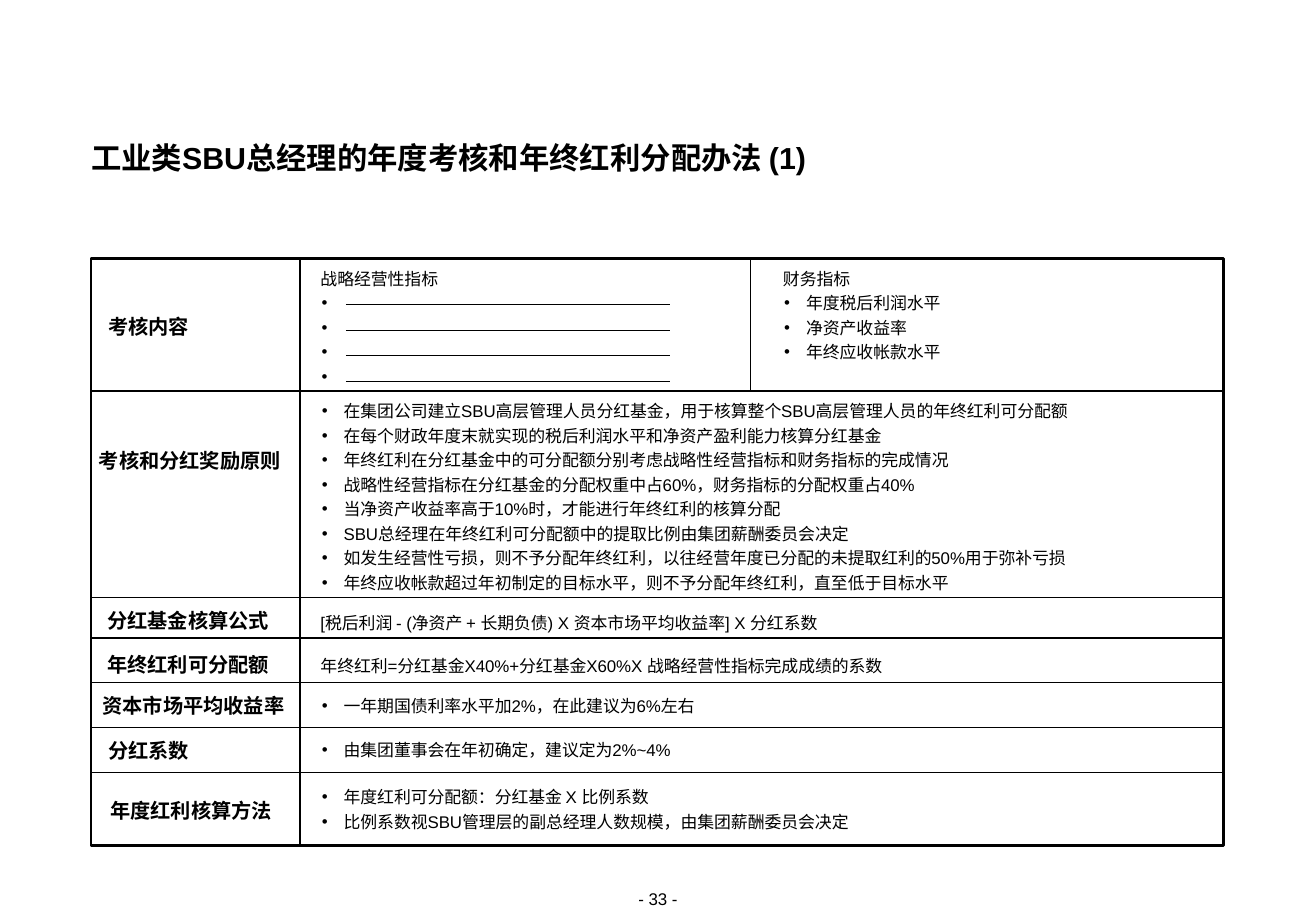
from lxml import etree
from pptx import Presentation
from pptx.dml.color import RGBColor
from pptx.enum import shapes, text
from pptx.oxml import ns
from pptx.util import Inches, Pt

BLACK = RGBColor(0, 0, 0)
FONT = "Arial"

# Grid of the scheme, in inches
LEFT, RIGHT, TOP, BOTTOM = 0.75, 10.08, 2.13, 6.96
LABEL_EDGE, INDICATOR_EDGE = 2.47, 6.18
ROW_EDGES = [3.22, 4.92, 5.25, 5.62, 5.99, 6.36]
LABEL_LEFT, CONTENT_LEFT = 0.78, 2.64

# Row labels: wording, top, width
LABELS = [
    ("考核内容", 2.59, 0.89),
    ("考核和分红奖励原则", 3.69, 1.57),
    ("分红基金核算公式", 5.01, 1.54),
    ("年终红利可分配额", 5.37, 1.54),
    ("资本市场平均收益率", 5.71, 1.63),
    ("分红系数", 6.08, 0.89),
    ("年度红利核算方法", 6.57, 1.59),
]

BLANK_ENTRIES = 4
FINANCIAL_INDICATORS = ["年度税后利润水平", "净资产收益率", "年终应收帐款水平"]
PRINCIPLES = [
    "在集团公司建立SBU高层管理人员分红基金，用于核算整个SBU高层管理人员的年终红利可分配额",
    "在每个财政年度末就实现的税后利润水平和净资产盈利能力核算分红基金",
    "年终红利在分红基金中的可分配额分别考虑战略性经营指标和财务指标的完成情况",
    "战略性经营指标在分红基金的分配权重中占60%，财务指标的分配权重占40%",
    "当净资产收益率高于10%时，才能进行年终红利的核算分配",
    "SBU总经理在年终红利可分配额中的提取比例由集团薪酬委员会决定",
    "如发生经营性亏损，则不予分配年终红利，以往经营年度已分配的未提取红利的50%用于弥补亏损",
    "年终应收帐款超过年初制定的目标水平，则不予分配年终红利，直至低于目标水平",
]
MARKET_RETURN = ["一年期国债利率水平加2%，在此建议为6%左右"]
COEFFICIENT = ["由集团董事会在年初确定，建议定为2%~4%"]
METHODS = [
    "年度红利可分配额：分红基金 X 比例系数",
    "比例系数视SBU管理层的副总经理人数规模，由集团薪酬委员会决定",
]

# Formulas: wording, top
FORMULAS = [
    ("[税后利润 - (净资产 + 长期负债) X 资本市场平均收益率] X 分红系数", 4.99),
    ("年终红利=分红基金X40%+分红基金X60%X 战略经营性指标完成成绩的系数", 5.35),
]


def add_frame(slide, left, top, width, height):
    box = slide.shapes.add_textbox(Inches(left), Inches(top), Inches(width), Inches(height))
    frame = box.text_frame
    frame.margin_left = frame.margin_right = frame.margin_top = frame.margin_bottom = 0
    frame.word_wrap = True
    return frame


def add_run(paragraph, wording, size, bold=False):
    run = paragraph.add_run()
    run.text = wording
    run.font.name = FONT
    run.font.size = Pt(size)
    run.font.bold = bold
    run.font.color.rgb = BLACK


def add_line_of_text(slide, wording, at, size, bold=False, align=None, spacing=None):
    paragraph = add_frame(slide, *at).paragraphs[0]
    paragraph.alignment = align
    paragraph.line_spacing = spacing
    add_run(paragraph, wording, size, bold)


def set_bullet(paragraph):
    properties = paragraph._p.get_or_add_pPr()
    properties.set("marL", str(Inches(0.19)))
    properties.set("indent", str(-Inches(0.18)))
    etree.SubElement(properties, ns.qn("a:buFont")).set("typeface", FONT)
    etree.SubElement(properties, ns.qn("a:buChar")).set("char", "•")


def add_bullet_list(slide, items, at, heading=None):
    frame = add_frame(slide, *at)
    entries = [(item, True) for item in items]
    if heading:
        entries.insert(0, (heading, False))
    for index, (wording, bulleted) in enumerate(entries):
        paragraph = frame.add_paragraph() if index else frame.paragraphs[0]
        if bulleted:
            set_bullet(paragraph)
        if index:
            paragraph.space_before = Pt(2.5)
        add_run(paragraph, wording, 10)


def add_rule(slide, x1, y1, x2, y2, weight):
    rule = slide.shapes.add_connector(
        shapes.MSO_CONNECTOR.STRAIGHT, Inches(x1), Inches(y1), Inches(x2), Inches(y2))
    rule.line.color.rgb = BLACK
    rule.line.width = Pt(weight)
    etree.SubElement(rule._element.spPr, ns.qn("a:effectLst"))


def add_grid(slide):
    border = slide.shapes.add_shape(
        shapes.MSO_SHAPE.RECTANGLE, Inches(LEFT), Inches(TOP),
        Inches(RIGHT - LEFT), Inches(BOTTOM - TOP))
    border.shadow.inherit = False
    border.fill.background()
    border.line.color.rgb = BLACK
    border.line.width = Pt(1.5)
    add_rule(slide, LABEL_EDGE, TOP, LABEL_EDGE, BOTTOM, 1)
    add_rule(slide, INDICATOR_EDGE, TOP, INDICATOR_EDGE, ROW_EDGES[0], 0.5)
    for edge in ROW_EDGES:
        add_rule(slide, LEFT, edge, RIGHT, edge, 1)


def main():
    deck = Presentation()
    deck.slide_width, deck.slide_height = Inches(10.84), Inches(7.5)
    slide = deck.slides.add_slide(deck.slide_layouts[6])

    # Title and page number
    add_line_of_text(slide, "工业类SBU总经理的年度考核和年终红利分配办法 (1)",
                     (LEFT, 1.17, 9.33, 0.28), 18, bold=True, spacing=Pt(20))
    add_line_of_text(slide, "- 33 -", (4.85, 7.32, 1.14, 0.17), 10,
                     align=text.PP_ALIGN.CENTER)

    # Grid and row labels
    add_grid(slide)
    for wording, top, width in LABELS:
        add_line_of_text(slide, wording, (LABEL_LEFT, top, width, 0.2), 12, bold=True,
                         align=text.PP_ALIGN.CENTER)

    # Assessment content, with entries to fill in
    add_bullet_list(slide, [" "] * BLANK_ENTRIES, (CONTENT_LEFT, 2.21, 1.96, 0.97),
                    heading="战略经营性指标")
    for entry in range(BLANK_ENTRIES):
        y = 2.51 + 0.21 * entry
        add_rule(slide, 2.85, y, 5.52, y, 0.5)
    add_bullet_list(slide, FINANCIAL_INDICATORS, (6.45, 2.21, 1.96, 0.77),
                    heading="财务指标")

    # Principles, formulas and methods
    add_bullet_list(slide, PRINCIPLES, (CONTENT_LEFT, 3.3, 7.71, 1.58))
    for wording, top in FORMULAS:
        add_line_of_text(slide, wording, (CONTENT_LEFT, top, 7.1, 0.22), 10, spacing=1.3)
    add_bullet_list(slide, MARKET_RETURN, (CONTENT_LEFT, 5.73, 7.55, 0.17))
    add_bullet_list(slide, COEFFICIENT, (CONTENT_LEFT, 6.09, 7.55, 0.17))
    add_bullet_list(slide, METHODS, (CONTENT_LEFT, 6.48, 7.55, 0.37))

    deck.save("out.pptx")


if __name__ == "__main__":
    main()
